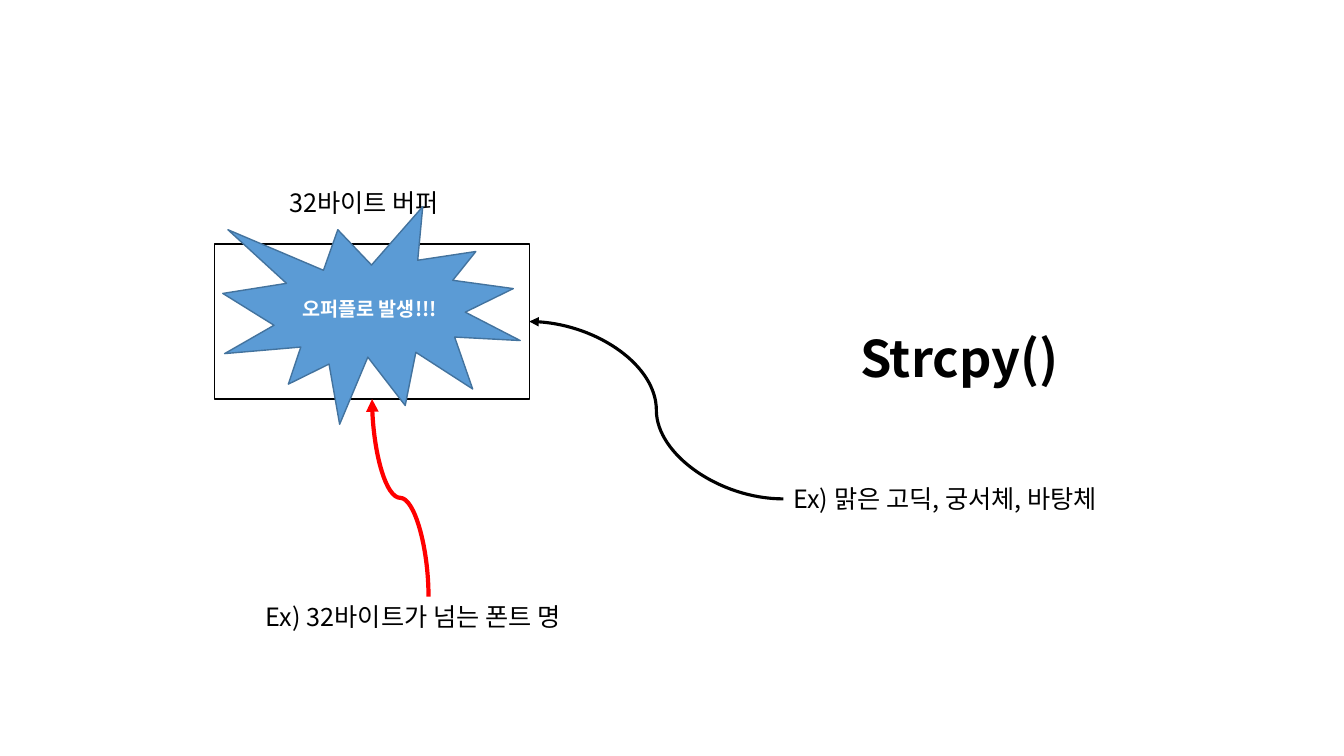
from lxml.etree import SubElement
from pptx import Presentation
from pptx.dml.color import RGBColor
from pptx.enum.shapes import MSO_CONNECTOR as Connector, MSO_SHAPE as Preset
from pptx.enum.text import MSO_ANCHOR as Anchor, MSO_AUTO_SIZE as AutoSize, PP_ALIGN as Align
from pptx.oxml.ns import qn
from pptx.util import Pt

PX = 9144  # one px is a hundredth of an inch
FONT = "Noto Sans CJK KR"
BLACK = RGBColor(0x00, 0x00, 0x00)
WHITE = RGBColor(0xFF, 0xFF, 0xFF)
RED = RGBColor(0xFF, 0x00, 0x00)
BLUE = RGBColor(0x5B, 0x9B, 0xD5)
DARK_BLUE = RGBColor(0x43, 0x73, 0x9E)


def emu(*lengths):
    return [length * PX for length in lengths]


def write(shape, text, size, color=BLACK, bold=False, align=Align.LEFT, anchor=Anchor.TOP):
    frame = shape.text_frame
    frame.text = text
    frame.vertical_anchor = anchor
    paragraph = frame.paragraphs[0]
    paragraph.alignment = align
    run = paragraph.runs[0]
    run.font.size = Pt(size)
    run.font.bold = bold
    run.font.name = FONT
    run.font.color.rgb = color
    # Korean letters take the East Asian typeface
    SubElement(run.font._element, qn("a:ea"), typeface=FONT)
    return frame


def add_label(slide, box, text, wrap=False):
    label = slide.shapes.add_textbox(*emu(*box))
    frame = write(label, text, 18)
    frame.word_wrap = wrap
    frame.auto_size = AutoSize.SHAPE_TO_FIT_TEXT
    return frame


def add_outlined(slide, preset, box, line_color):
    shape = slide.shapes.add_shape(preset, *emu(*box))
    shape.shadow.inherit = False
    shape.fill.background()
    shape.line.color.rgb = line_color
    shape.line.width = Pt(1)
    return shape


def add_curved_arrow(slide, begin, end, color, width, upright=False):
    (x1, y1), (x2, y2) = begin, end
    if upright:
        # Lay the curve flat around its centre, then turn it a quarter
        mid_x, mid_y = (x1 + x2) // 2, (y1 + y2) // 2
        half_run, half_rise = (y1 - y2) // 2, (x1 - x2) // 2
        x1, y1 = mid_x - half_run, mid_y + half_rise
        x2, y2 = mid_x + half_run, mid_y - half_rise
    arrow = slide.shapes.add_connector(Connector.CURVE, *emu(x1, y1, x2, y2))
    arrow.line.color.rgb = color
    arrow.line.width = Pt(width)
    properties = arrow._element.spPr
    if upright:
        properties.find(qn("a:xfrm")).set("rot", str(270 * 60000))
    SubElement(properties.find(qn("a:ln")), qn("a:tailEnd"), type="triangle")
    SubElement(properties, qn("a:effectLst"))


def add_function_name(slide, box):
    title = slide.shapes.title
    title.left, title.top, title.width, title.height = emu(*box)
    frame = write(title, "Strcpy()", 36, bold=True)
    frame.word_wrap = True
    frame.auto_size = AutoSize.SHAPE_TO_FIT_TEXT


def add_buffer(slide, box):
    left, top, width, height = box
    add_outlined(slide, Preset.RECTANGLE, box, BLACK)
    add_label(slide, (left + 64, top - 61, 183, 40), "32바이트 버퍼")


def add_font_examples(slide, box, target):
    left, top, width, height = box
    frame = add_label(slide, box, "Ex) 맑은 고딕, 궁서체, 바탕체", wrap=True)
    frame.margin_right = 25 * PX
    add_curved_arrow(slide, (left, top + height // 2), target, BLACK, 2.25)


def add_long_name(slide, box, target):
    left, top, width, height = box
    add_label(slide, box, "Ex) 32바이트가 넘는 폰트 명")
    add_curved_arrow(slide, (left + width // 2, top), target, RED, 3, upright=True)


def add_overflow_burst(slide, box):
    burst = add_outlined(slide, Preset.EXPLOSION1, box, DARK_BLUE)
    burst.fill.solid()
    burst.fill.fore_color.rgb = BLUE
    write(burst, "오퍼플로 발생!!!", 14, WHITE, True, Align.CENTER, Anchor.MIDDLE)


def main():
    deck = Presentation()
    deck.slide_width, deck.slide_height = emu(1333, 750)
    slide = deck.slides.add_slide(deck.slide_layouts.get_by_name("Title Only"))

    buffer_box = left, top, width, height = 213, 242, 312, 154
    add_buffer(slide, buffer_box)
    add_function_name(slide, (843, 319, 264, 71))
    add_font_examples(slide, (777, 475, 352, 40), (left + width, top + height // 2))
    add_long_name(slide, (254, 592, 343, 40), (left + width // 2, top + height))
    add_overflow_burst(slide, (221, 205, 295, 216))

    deck.save("out.pptx")


if __name__ == "__main__":
    main()
